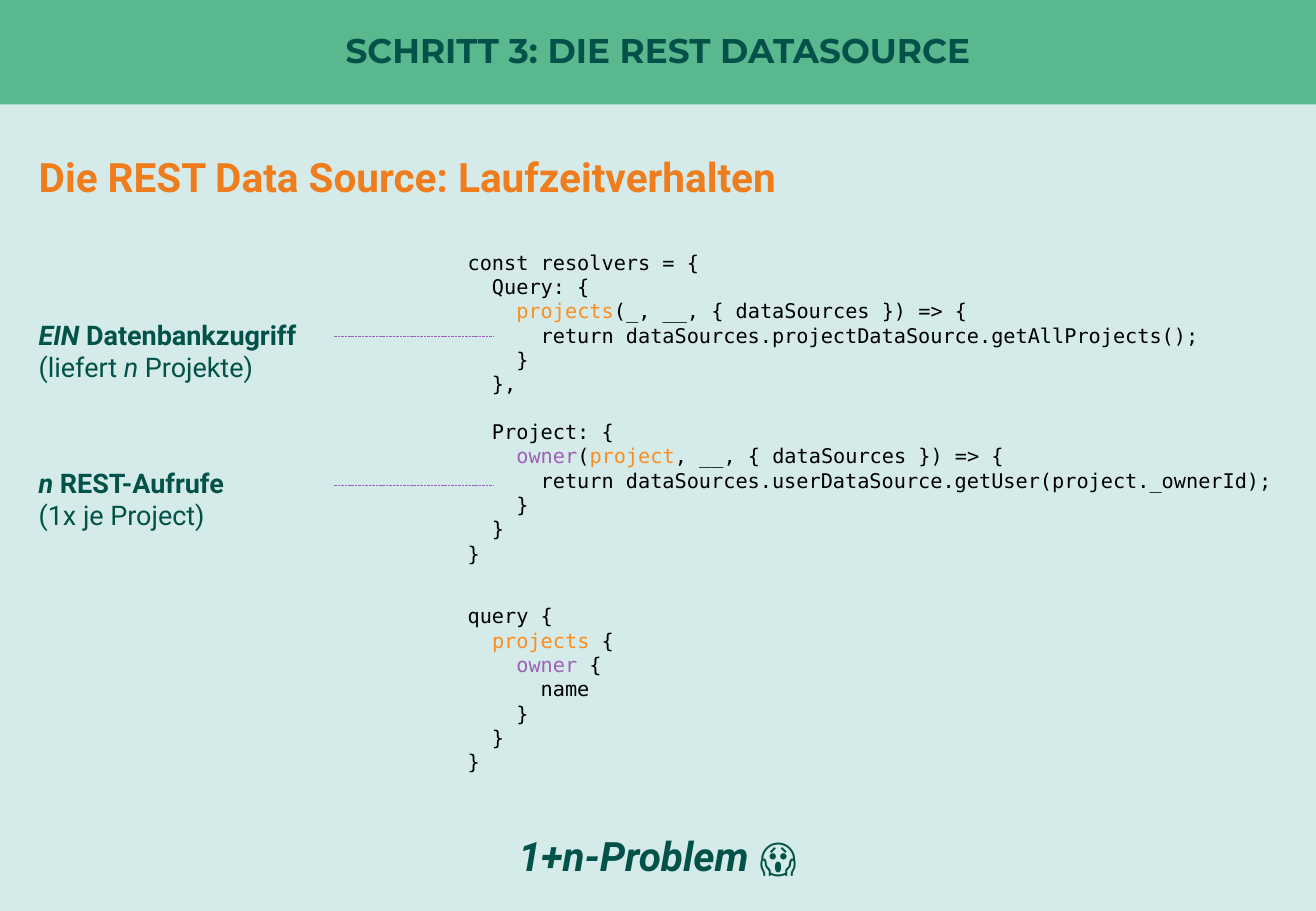
from lxml import etree
from pptx import Presentation
from pptx import util as u
from pptx.dml.color import RGBColor
from pptx.enum import dml, shapes, text
from pptx.oxml.ns import qn

PX = 9144  # 100 px to the inch
GREEN, ORANGE, BLACK = "025249", "FB8E20", "000000"
PURPLE = "9E60B8"
LEFT, CENTER = text.PP_ALIGN.LEFT, text.PP_ALIGN.CENTER


def color(value):
    return RGBColor.from_string(value)


def add_text(at, paragraphs, font, size, base, align=LEFT, spacing=None):
    """Each paragraph is a list of runs: (words, style letters, colour or None)."""
    box = page.shapes.add_textbox(*(n * PX for n in at))
    frame = box.text_frame
    frame.word_wrap = True
    for i, runs in enumerate(paragraphs):
        para = frame.paragraphs[0] if i == 0 else frame.add_paragraph()
        para.alignment = align
        para.line_spacing = spacing
        for words, style, own in runs:
            span = para.add_run()
            span.text = words
            span.font.name = font
            span.font.size = u.Pt(size)
            span.font.bold = "b" in style
            span.font.italic = "i" in style
            span.font.color.rgb = color(own or base)
    return frame


deck = Presentation()
deck.slide_width, deck.slide_height = 1083 * PX, 750 * PX
page = deck.slides.add_slide(deck.slide_layouts[6])
page.background.fill.solid()
page.background.fill.fore_color.rgb = color("D4EBE9")

# Header band and title
band = page.shapes.add_shape(shapes.MSO_SHAPE.RECTANGLE, 0, 0, 1083 * PX, 86 * PX)
band.shadow.inherit = False
band.fill.solid()
band.fill.fore_color.rgb = color("5AB88F")
band.line.fill.background()
title = add_text((0, 0, 1083, 86), [[("SCHRITT 3: DIE REST DATASOURCE", "b", None)]],
                 "Montserrat", 20.3, GREEN, CENTER, 0.9)
title.vertical_anchor = text.MSO_ANCHOR.MIDDLE
title.margin_left = title.margin_right = title.margin_top = title.margin_bottom = 0

# Subtitle
add_text((22, 112, 1039, 55), [[("Die REST Data Source: Laufzeitverhalten", "b", None)]],
         "Roboto", 24, "EF7D1D", spacing=1.2)

# Code listings
resolvers = [
    [("const resolvers = {", "", None)],
    [("  Query: {", "", None)],
    [("    ", "", None), ("projects", "", ORANGE), ("(_, __, { dataSources }) => {", "", None)],
    [("      return dataSources.projectDataSource.getAllProjects();", "", None)],
    [("    }", "", None)],
    [("  },", "", None)],
    [("  Project: {", "", None)],
    [("    ", "", None), ("owner", "", PURPLE), ("(", "", None), ("project", "", ORANGE),
     (", __, { dataSources }) => {", "", None)],
    [("      return dataSources.userDataSource.getUser(project._ownerId);", "", None)],
    [("    }", "", None)],
    [("  }", "", None)],
    [("}", "", None)],
]
query = [
    [("query {", "", None)],
    [("  ", "", None), ("projects", "", ORANGE), (" {", "", None)],
    [("    ", "", None), ("owner", "", PURPLE), (" {", "", None)],
    [("      name", "", None)],
    [("    }", "", None)],
    [("  }", "", None)],
    [("}", "", None)],
]
code = add_text((375, 201, 708, 273), resolvers, "DejaVu Sans Mono", 12, BLACK)
code.paragraphs[6].space_before = u.Pt(14)  # one line of air before Project
add_text((375, 492, 708, 151), query, "DejaVu Sans Mono", 12, BLACK)

# Notes on the left, each with a dashed line to its code
notes = [
    (257, 277, [[("EIN", "bi", None), (" Datenbankzugriff", "b", None)],
                [("(liefert ", "", None), ("n", "i", None), (" Projekte)", "", None)]]),
    (379, 400, [[("n", "bi", None), (" REST-Aufrufe", "b", None)],
                [("(1x je Project)", "", None)]]),
]
for top, line_y, paragraphs in notes:
    add_text((22, top, 267, 64), paragraphs, "Roboto", 16, GREEN)
    pointer = page.shapes.add_connector(shapes.MSO_CONNECTOR.STRAIGHT,
                                        275 * PX, line_y * PX, 406 * PX, line_y * PX)
    pointer.line.color.rgb = color(PURPLE)
    pointer.line.width = u.Pt(0.5)
    pointer.line.dash_style = dml.MSO_LINE.SQUARE_DOT
    etree.SubElement(pointer.element.spPr, qn("a:effectLst"))

# Conclusion
add_text((0, 671, 1083, 56), [[("1+n-Problem ", "bi", None), ("😱", "b", None)]],
         "Roboto", 24, GREEN, CENTER, 1.2)

deck.save("out.pptx")
